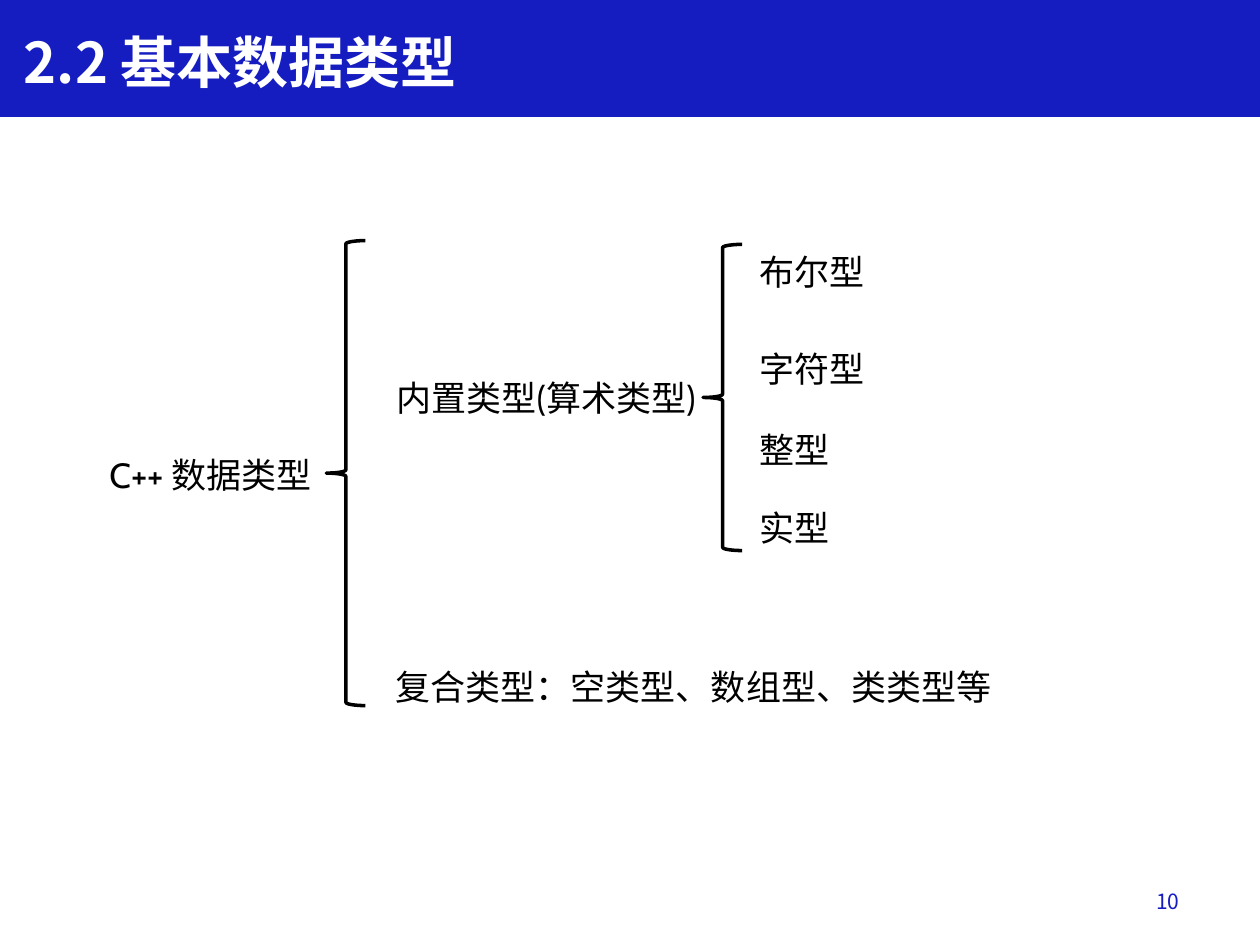
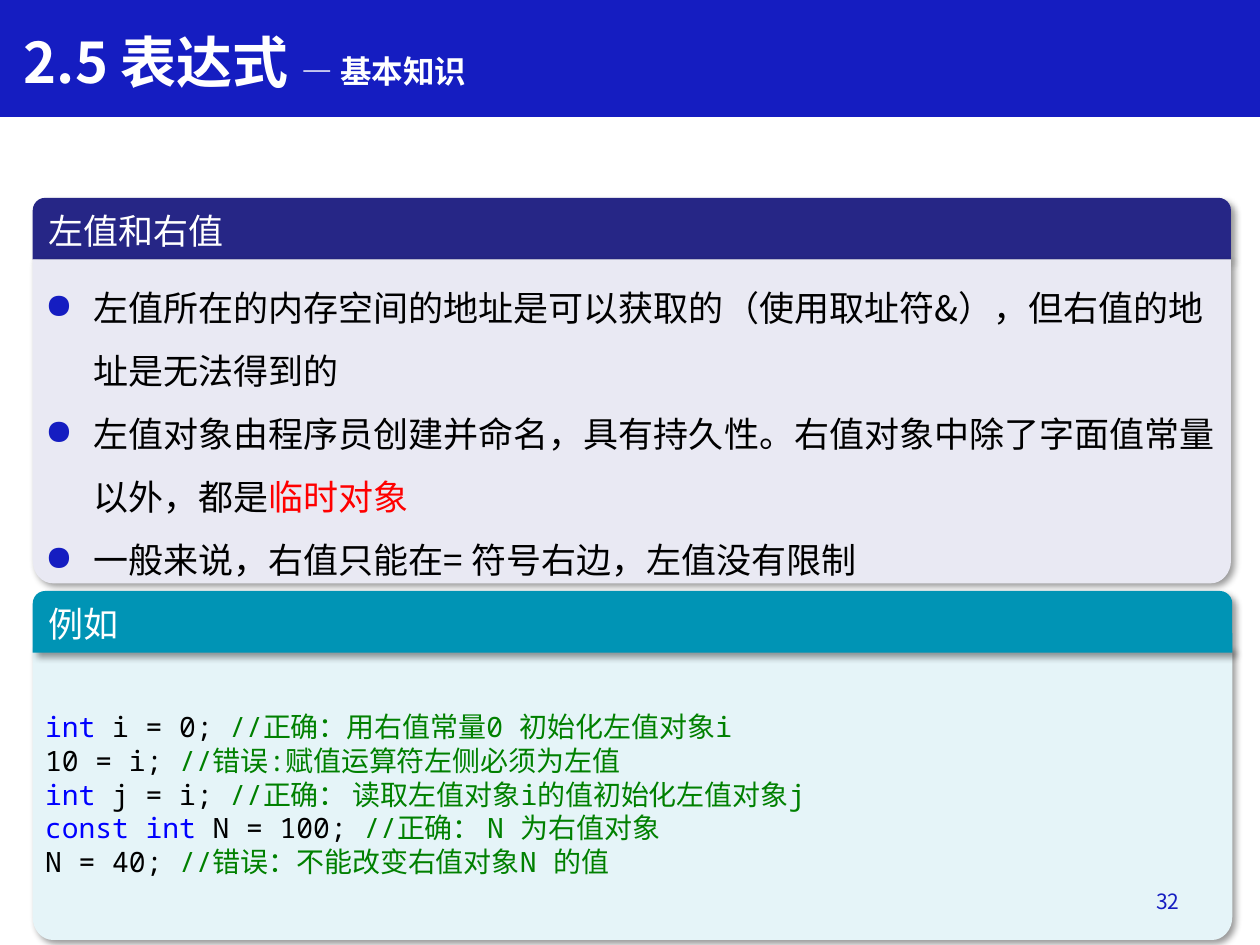
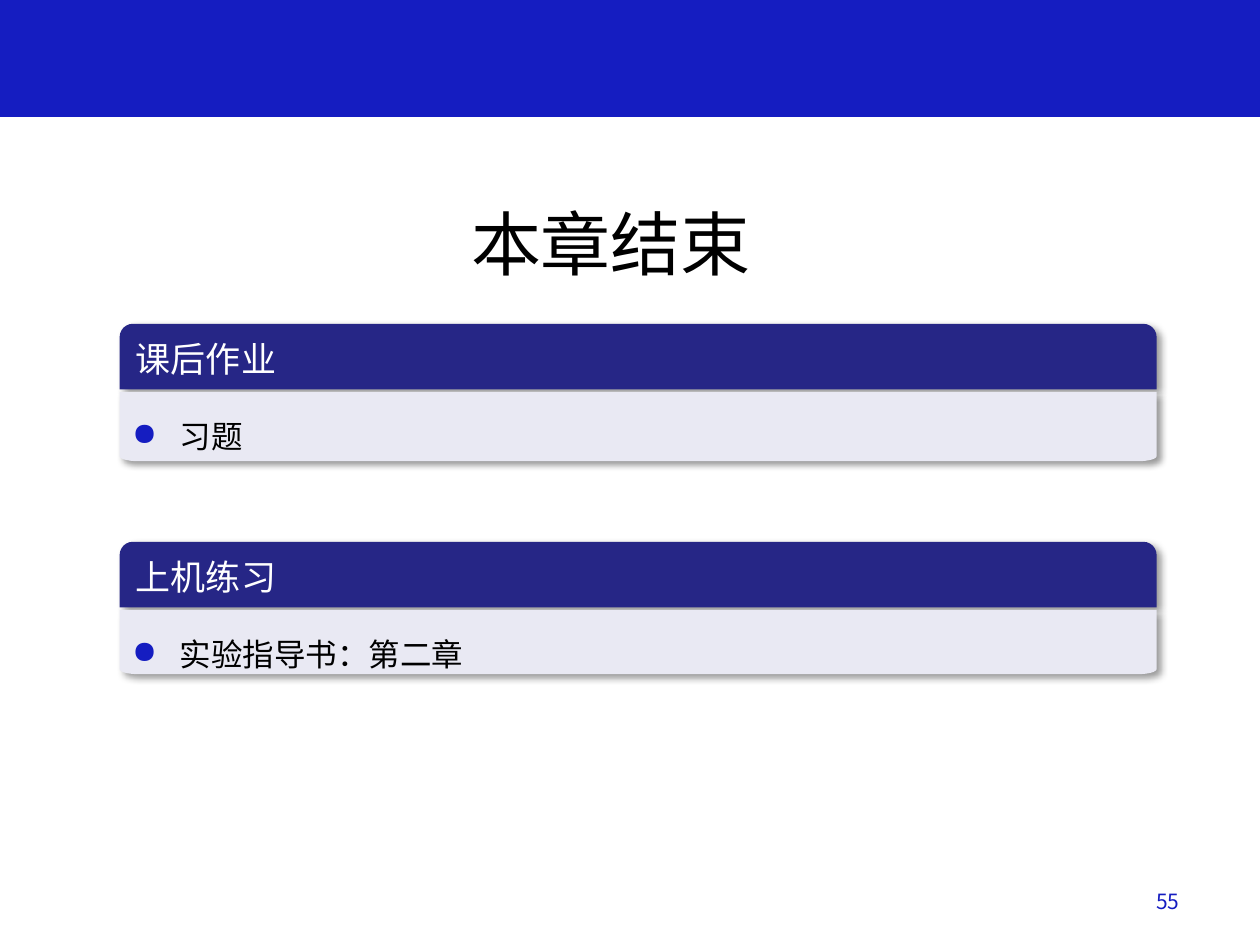
from math import cos, pi, sin
from typing import NamedTuple

from lxml.etree import SubElement
from pptx import Presentation
from pptx.dml.color import RGBColor
from pptx.enum.shapes import MSO_SHAPE as Shape
from pptx.enum.text import MSO_ANCHOR as Anchor, PP_ALIGN as Align
from pptx.oxml.ns import qn
from pptx.util import Inches, Pt

COLORS = {
    "blue": "151DC1", "navy": "262686", "lavender": "E9E9F3",
    "teal": "0094B5", "ice": "E5F4F8", "white": "FFFFFF", "black": "000000",
    "red": "FF0000", "keyword": "0000FF", "comment": "008000",
}
CJK, LATIN, MONO = "Noto Sans CJK SC", "Cabin", "Noto Sans Mono"

# The slide is a grid of 100 columns by 75 rows
SLIDE_WIDTH, SLIDE_HEIGHT = Inches(10), Inches(7.5)
COLUMN, ROW = SLIDE_WIDTH / 100, SLIDE_HEIGHT / 75


class Box(NamedTuple):
    left: float
    top: float
    width: float
    height: float

    def inner(self, left, top, width, height):
        return Box(self.left + left, self.top + top, width, height)

    def lengths(self):
        return (round(self.left * COLUMN), round(self.top * ROW),
                round(self.width * COLUMN), round(self.height * ROW))


TITLE_BAND = Box(0, 0, 100, 9.2)
PAGE_NUMBER = Box(72.1, 69.5, 22.5, 4)


def rgb(name):
    return RGBColor.from_string(COLORS[name])


# Text
def style(font, size=None, color=None, name=None, bold=None):
    if size:
        font.size = Pt(size)
    if color:
        font.color.rgb = rgb(color)
    if name:
        font.name = name
    if bold is not None:
        font.bold = bold


def add_bullet(paragraph):
    properties = paragraph._p.get_or_add_pPr()
    properties.set("marL", str(Inches(0.38)))
    properties.set("indent", str(-Inches(0.38)))
    color = SubElement(properties, qn("a:buClr"))
    SubElement(color, qn("a:srgbClr"), val=COLORS["blue"])
    SubElement(properties, qn("a:buChar"), char="●")


def write(shape, paragraphs, size=20, color="black", name=CJK, bold=False,
          anchor=Anchor.TOP, align=Align.LEFT, bullet=False, space_after=None):
    """Each paragraph is a string or a list of (text, font changes) runs."""
    frame = shape.text_frame
    frame.word_wrap = True
    frame.vertical_anchor = anchor
    for index, runs in enumerate(paragraphs):
        paragraph = frame.add_paragraph() if index else frame.paragraphs[0]
        paragraph.alignment = align
        if bullet:
            paragraph.line_spacing = 1.5
            if space_after:
                paragraph.space_after = Pt(space_after)
            add_bullet(paragraph)
        style(paragraph.font, size, color, name, bold)
        defaults = paragraph._p.pPr.find(qn("a:defRPr"))
        SubElement(defaults, qn("a:ea"), typeface=CJK)
        for text, changes in [(runs, {})] if isinstance(runs, str) else runs:
            run = paragraph.add_run()
            run.text = text
            style(run.font, **changes)


def add_label(slide, box, *paragraphs, **options):
    label = slide.shapes.add_textbox(*box.lengths())
    write(label, paragraphs, **options)
    return label


# Shapes
def paint(shape, fill, line=None):
    shape.shadow.inherit = False
    shape.fill.solid()
    shape.fill.fore_color.rgb = rgb(fill)
    if line:
        shape.line.color.rgb = rgb(line)
        shape.line.width = Pt(1)
    else:
        shape.line.fill.background()


def add_shadow(shape):
    effects = shape._element.spPr.find(qn("a:effectLst"))
    shadow = SubElement(effects, qn("a:outerShdw"), blurRad=str(Pt(4)),
                        dist=str(Pt(3)), dir=str(45 * 60000), algn="tl",
                        rotWithShape="0")
    color = SubElement(shadow, qn("a:srgbClr"), val=COLORS["black"])
    SubElement(color, qn("a:alpha"), val="40000")


def add_brace(slide, box):
    brace = slide.shapes.add_shape(Shape.LEFT_BRACE, *box.lengths())
    brace.shadow.inherit = False
    brace.fill.background()
    brace.line.color.rgb = rgb("black")
    brace.line.width = Pt(2)


# Panel: header with round top corners over a body with round bottom corners
def add_panel_header(slide, box, title, fill):
    header = slide.shapes.add_shape(Shape.ROUND_2_SAME_RECTANGLE, *box.lengths())
    header.adjustments[0] = 0.201
    header.adjustments[1] = 0
    paint(header, fill)
    add_shadow(header)
    write(header, [title], color="white", anchor=Anchor.MIDDLE)


def add_panel_body(slide, box, fill, corner, paragraphs, options):
    left, top, width, height = box.lengths()
    radius_x, radius_y = corner[0] * COLUMN, corner[1] * ROW
    angles = [step * pi / 16 for step in range(9)]
    right_corner = [(left + width - radius_x * (1 - cos(angle)),
                     top + height - radius_y * (1 - sin(angle)))
                    for angle in angles]
    left_corner = [(2 * left + width - x, y) for x, y in reversed(right_corner)]
    outline = slide.shapes.build_freeform(left, top)
    outline.add_line_segments(
        [(left + width, top), *right_corner, *left_corner], close=True)
    body = outline.convert_to_shape()
    paint(body, fill)
    add_shadow(body)
    write(body, paragraphs, **options)


def add_panel(slide, box, title, paragraphs, header_height, body_top,
              header_fill="navy", body_fill="lavender", corner=(1.6, 1.8),
              header_in_front=False, **options):
    header_box = box.inner(0, 0, box.width, header_height)
    body_box = box.inner(0, body_top, box.width, box.height - body_top)
    if not header_in_front:
        add_panel_header(slide, header_box, title, header_fill)
    add_panel_body(slide, body_box, body_fill, corner, paragraphs, options)
    if header_in_front:
        add_panel_header(slide, header_box, title, header_fill)


# Shared parts of every slide
def add_slide(presentation):
    slide = presentation.slides.add_slide(presentation.slide_layouts[6])
    band = slide.shapes.add_shape(Shape.RECTANGLE, *TITLE_BAND.lengths())
    paint(band, "blue", "blue")
    return slide


def add_title(slide, *runs):
    add_label(slide, TITLE_BAND.inner(0.9, 1.7, 67.1, 6.4), list(runs),
              size=32, color="white", bold=True)


def add_page_number(slide, number):
    add_label(slide, PAGE_NUMBER, str(number), size=12, color="blue",
              anchor=Anchor.MIDDLE, align=Align.RIGHT)


# Tree of data types
def add_type_tree(slide, box):
    latin = {"name": LATIN}
    line_height = 4.4
    add_brace(slide, box.inner(18.2, 0, 3.1, box.height))
    add_label(slide, box.inner(0, 16.4, 19.1, line_height),
              [("C++ ", latin), ("数据类型", {})])
    add_label(slide, box.inner(22.7, 33.2, 52.2, line_height),
              "复合类型：空类型、数组型、类类型等")
    add_label(slide, box.inner(22.8, 10.3, 27.5, line_height),
              [("内置类型", {}), ("(", latin), ("算术类型", {}), (")", latin)])
    add_brace(slide, box.inner(48.1, 0.3, 3.1, 24.3))
    for name, top in (("布尔型", 0.3), ("字符型", 8), ("整型", 14.4), ("实型", 20.6)):
        add_label(slide, box.inner(51.6, top, 11, line_height), name)


def build_types_slide(presentation):
    slide = add_slide(presentation)
    add_title(slide, ("2.2 基本数据类型", {}))
    add_type_tree(slide, Box(7.7, 19.1, 75, 36.9))
    add_page_number(slide, 10)


def build_expressions_slide(presentation):
    slide = add_slide(presentation)
    add_title(slide, ("2.5 表达式 ", {}), ("— 基本知识", {"size": 18}))
    add_panel(
        slide, Box(2.6, 15.7, 95.1, 30.6), "左值和右值",
        ["左值所在的内存空间的地址是可以获取的（使用取址符&），但右值的地址是无法得到的",
         [("左值对象由程序员创建并命名，具有持久性。右值对象中除了字面值常量以外，都是", {}),
          ("临时对象", {"color": "red"})],
         "一般来说，右值只能在= 符号右边，左值没有限制"],
        header_height=4.9, body_top=4.9, bullet=True)

    # Code lines: keyword, statement, comment
    code = [
        ("int ", "i = 0; ", "//正确：用右值常量0 初始化左值对象i"),
        ("", "10 = i; ", "//错误:赋值运算符左侧必须为左值"),
        ("int ", "j = i; ", "//正确： 读取左值对象i的值初始化左值对象j"),
        ("const int ", "N = 100; ", "//正确： N 为右值对象"),
        ("", "N = 40; ", "//错误：不能改变右值对象N 的值"),
    ]
    parts = ("keyword", "black", "comment")
    code_lines = [[(text, {"color": part}) for text, part in zip(line, parts) if text]
                  for line in code]
    add_panel(slide, Box(2.6, 46.9, 95.2, 27.7), "例如", code_lines,
              header_height=4.9, body_top=4.5, header_fill="teal",
              body_fill="ice", header_in_front=True, size=16, name=MONO,
              anchor=Anchor.MIDDLE)
    add_page_number(slide, 32)


def build_closing_slide(presentation):
    slide = add_slide(presentation)
    add_page_number(slide, 55)
    ending = add_label(slide, Box(36.4, 15.4, 24.5, 7.7), "本章结束", size=40)
    ending.text_frame.word_wrap = False
    for top, height, title, task, font_name in (
            (25.7, 10.9, "课后作业", "习题", CJK),
            (43, 10.5, "上机练习", "实验指导书：第二章", MONO)):
        add_panel(slide, Box(9.5, top, 82.3, height), title, [task],
                  header_height=5.2, body_top=5.4, corner=(1.4, 0.4),
                  size=18, name=font_name, bullet=True, space_after=12)


def main():
    presentation = Presentation()
    presentation.slide_width, presentation.slide_height = SLIDE_WIDTH, SLIDE_HEIGHT
    build_types_slide(presentation)
    build_expressions_slide(presentation)
    build_closing_slide(presentation)
    presentation.save("out.pptx")


if __name__ == "__main__":
    main()
